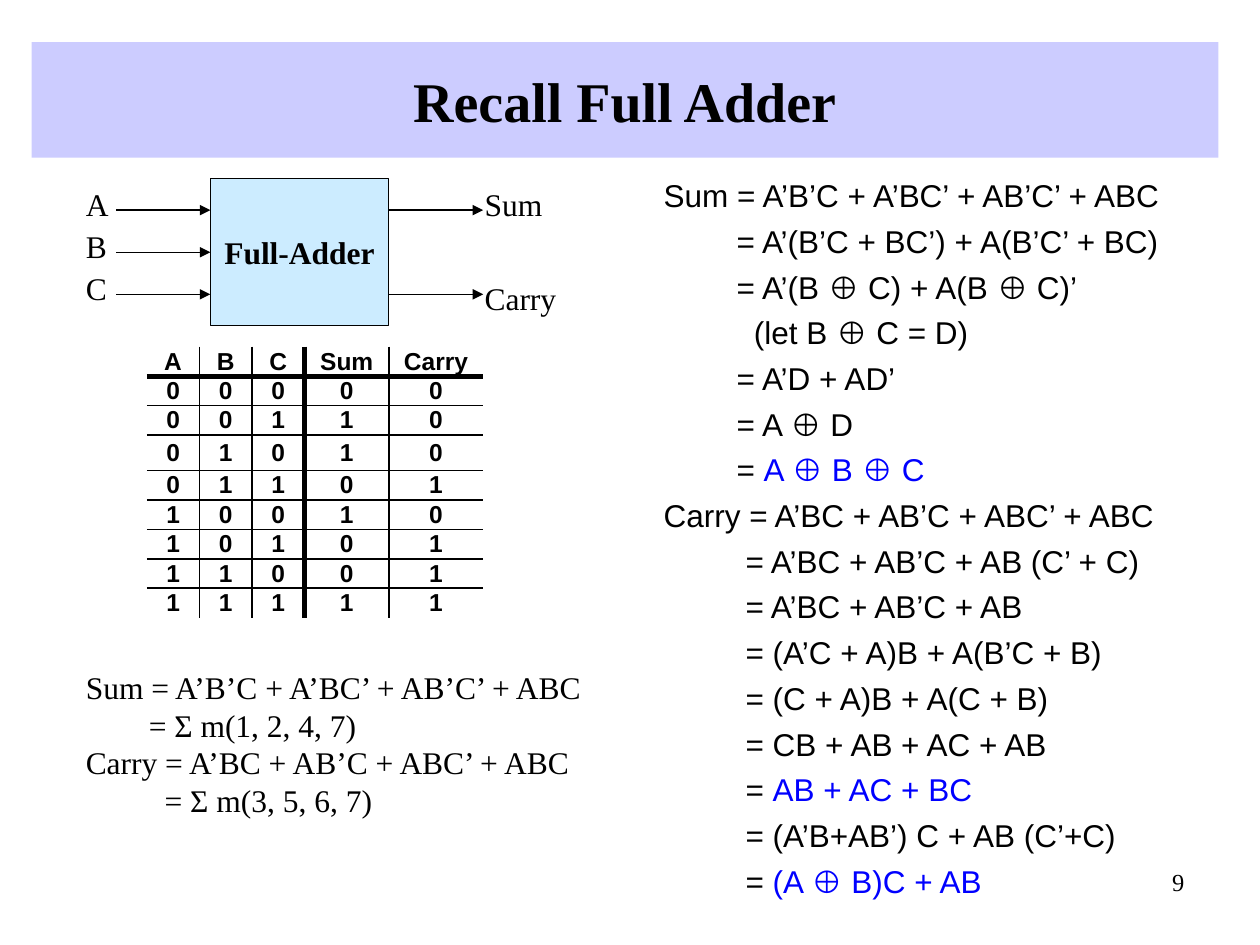
from pptx import Presentation
from pptx.dml.color import RGBColor
from pptx.enum.shapes import MSO_CONNECTOR, MSO_SHAPE
from pptx.enum.text import MSO_ANCHOR, PP_ALIGN
from pptx.oxml.ns import qn
from pptx.util import Cm, Pt
from lxml.etree import SubElement

COLORS = {"black": "000000", "band": "CCCCFF", "adder": "CCECFF", "result": "0000FF"}
SERIF, SANS = "Times New Roman", "Arial"
NO_STYLE = "{2D5ABB26-0587-4C30-8999-92F81FD0307C}"

# Column widths and input rows of the truth table (cm)
HEADERS = ["A", "B", "C", "Sum", "Carry"]
COL_WIDTHS = [1.06, 1.06, 1.06, 1.7, 1.9]
ROW_HEIGHT, TALL_ROW, TALL_HEIGHT = 0.59, 3, 0.71

# Equations: (indent in cm, text); what follows "|" is a highlighted result
CANONICAL = [
    (0, "Sum = A’B’C + A’BC’ + AB’C’ + ABC"),
    (1.27, "= Σ m(1, 2, 4, 7)"),
    (0, "Carry = A’BC + AB’C + ABC’ + ABC"),
    (1.59, "= Σ m(3, 5, 6, 7)"),
]
SUM_IN, LET_IN, CARRY_IN = 1.47, 1.82, 1.65
DERIVATION = [
    (0, "Sum = A’B’C + A’BC’ + AB’C’ + ABC"),
    (SUM_IN, "= A’(B’C + BC’) + A(B’C’ + BC)"),
    (SUM_IN, "= A’(B ⊕ C) + A(B ⊕ C)’"),
    (LET_IN, "(let B ⊕ C = D)"),
    (SUM_IN, "= A’D + AD’"),
    (SUM_IN, "= A ⊕ D"),
    (SUM_IN, "= |A ⊕ B ⊕ C"),
    (0, "Carry = A’BC + AB’C + ABC’ + ABC"),
    (CARRY_IN, "= A’BC + AB’C + AB (C’ + C)"),
    (CARRY_IN, "= A’BC + AB’C + AB"),
    (CARRY_IN, "= (A’C + A)B + A(B’C + B)"),
    (CARRY_IN, "= (C + A)B + A(C + B)"),
    (CARRY_IN, "= CB + AB + AC + AB"),
    (CARRY_IN, "= |AB + AC + BC"),
    (CARRY_IN, "= (A’B+AB’) C + AB (C’+C)"),
    (CARRY_IN, "= |(A ⊕ B)C + AB"),
]


def rgb(name):
    return RGBColor.from_string(COLORS[name])


def format_run(r, size, font=SERIF, bold=False, color="black"):
    r.font.size, r.font.name, r.font.bold = Pt(size), font, bold
    r.font.color.rgb = rgb(color)


def set_text(tf, text, size, font=SERIF, bold=False, align=PP_ALIGN.LEFT):
    tf.text = text
    p = tf.paragraphs[0]
    p.alignment = align
    format_run(p.runs[0], size, font, bold)


def add_label(s, box, text, size=18, align=PP_ALIGN.LEFT):
    tf = s.shapes.add_textbox(*map(Cm, box)).text_frame
    tf.word_wrap = False
    set_text(tf, text, size, align=align)


def add_arrow(s, x1, x2, y):
    c = s.shapes.add_connector(MSO_CONNECTOR.STRAIGHT, Cm(x1), Cm(y), Cm(x2), Cm(y))
    c.line.width = Pt(0.75)
    c.line.color.rgb = rgb("black")
    SubElement(c.line._get_or_add_ln(), qn("a:tailEnd"), type="triangle")
    SubElement(c._element.spPr, qn("a:effectLst"))
    return c


def add_title(s, box, text):
    sp = s.shapes.title
    sp.left, sp.top, sp.width, sp.height = map(Cm, box)
    sp.fill.solid()
    sp.fill.fore_color.rgb = rgb("band")
    sp.text_frame.vertical_anchor = MSO_ANCHOR.MIDDLE
    set_text(sp.text_frame, text, 32, bold=True, align=PP_ALIGN.CENTER)


def add_block_diagram(s, box):
    left, top, width, height = box
    lead, step = 1.9, height / 3.5
    block_w, label_w, label_h = 3.6, 0.96, 1.02
    block_x = left + 2.76
    out_x = block_x + block_w

    # Adder block
    sp = s.shapes.add_shape(MSO_SHAPE.RECTANGLE, Cm(block_x), Cm(top), Cm(block_w), Cm(height))
    sp.shadow.inherit = False
    sp.fill.solid()
    sp.fill.fore_color.rgb = rgb("adder")
    sp.line.color.rgb = rgb("black")
    sp.line.width = Pt(0.75)
    sp.text_frame.word_wrap = False
    sp.text_frame.vertical_anchor = MSO_ANCHOR.MIDDLE
    set_text(sp.text_frame, "Full-Adder", 18, bold=True, align=PP_ALIGN.CENTER)

    # Inputs, the middle one joined to the block's side
    rows = [top + height / 2 + k * step for k in (-1, 0, 1)]
    for i, (name, y) in enumerate(zip("ABC", rows)):
        arrow = add_arrow(s, block_x - lead, block_x, y)
        if i == 1:
            arrow.end_connect(sp, 1)
        add_label(s, (left, top + i * step, label_w, label_h), name)

    # Outputs
    label_x = left + width - 1.96
    for name, y, label_y, w in (("Sum", rows[0], top, 1.68),
                                ("Carry", rows[2], top + 1.9, 1.96)):
        add_arrow(s, out_x, out_x + lead, y)
        add_label(s, (label_x, label_y, w, label_h), name)


def add_border(cell, side, points):
    ln = SubElement(cell._tc.get_or_add_tcPr(), qn(f"a:ln{side}"), w=str(Pt(points)))
    fill = SubElement(ln, qn("a:solidFill"))
    SubElement(fill, qn("a:srgbClr"), val=COLORS["black"])


def add_truth_table(s, box):
    bits = [(n >> 2, n >> 1 & 1, n & 1) for n in range(8)]
    rows = [HEADERS] + [[*b, sum(b) % 2, sum(b) // 2] for b in bits]
    n_rows, n_cols = len(rows), len(HEADERS)
    table = s.shapes.add_table(n_rows, n_cols, *map(Cm, box)).table
    table.first_row = table.horz_banding = False
    table._tbl.tblPr[0].text = NO_STYLE
    for col, width in zip(table.columns, COL_WIDTHS):
        col.width = Cm(width)
    for i, values in enumerate(rows):
        table.rows[i].height = Cm(TALL_HEIGHT if i == TALL_ROW else ROW_HEIGHT)
        for j, value in enumerate(values):
            cell = table.cell(i, j)
            cell.margin_top = cell.margin_bottom = 0
            cell.vertical_anchor = MSO_ANCHOR.MIDDLE
            set_text(cell.text_frame, str(value), 14, SANS, True, PP_ALIGN.CENTER)
            # Inner rules only; heavy ones below the header and before the outputs
            if j > 0:
                add_border(cell, "L", 3 if j == 3 else 1)
            if j < n_cols - 1:
                add_border(cell, "R", 3 if j == 2 else 1)
            if i > 0:
                add_border(cell, "T", 3 if i == 1 else 1)
            if i < n_rows - 1:
                add_border(cell, "B", 3 if i == 0 else 1)
            cell.fill.background()


def add_equations(s, box, lines, font, space=0, wrap=True):
    tf = s.shapes.add_textbox(*map(Cm, box)).text_frame
    tf.word_wrap = wrap
    for i, (indent, text) in enumerate(lines):
        p = tf.add_paragraph() if i else tf.paragraphs[0]
        p.space_before = Pt(space)
        p._p.get_or_add_pPr().set("marL", str(Cm(indent)))
        for part, color in zip(text.split("|"), ("black", "result")):
            r = p.add_run()
            r.text = part
            format_run(r, 18, font, color=color)


def main():
    prs = Presentation()
    prs.slide_width, prs.slide_height = Cm(25.4), Cm(19.05)
    s = prs.slides.add_slide(prs.slide_layouts[5])
    add_title(s, (0.64, 0.85, 23.92, 2.33), "Recall Full Adder")
    add_block_diagram(s, (1.48, 3.6, 10, 2.97))
    add_truth_table(s, (2.96, 6.99, 6.78, 5.43))
    add_equations(s, (1.48, 13.34, 11.02, 3.3), CANONICAL, SERIF, wrap=False)
    add_equations(s, (13.13, 3.43, 11.46, 14.17), DERIVATION, SANS, space=4.5)
    add_label(s, (18.85, 17.35, 5.28, 1.27), "9", 14, PP_ALIGN.RIGHT)
    prs.save("out.pptx")


if __name__ == "__main__":
    main()
